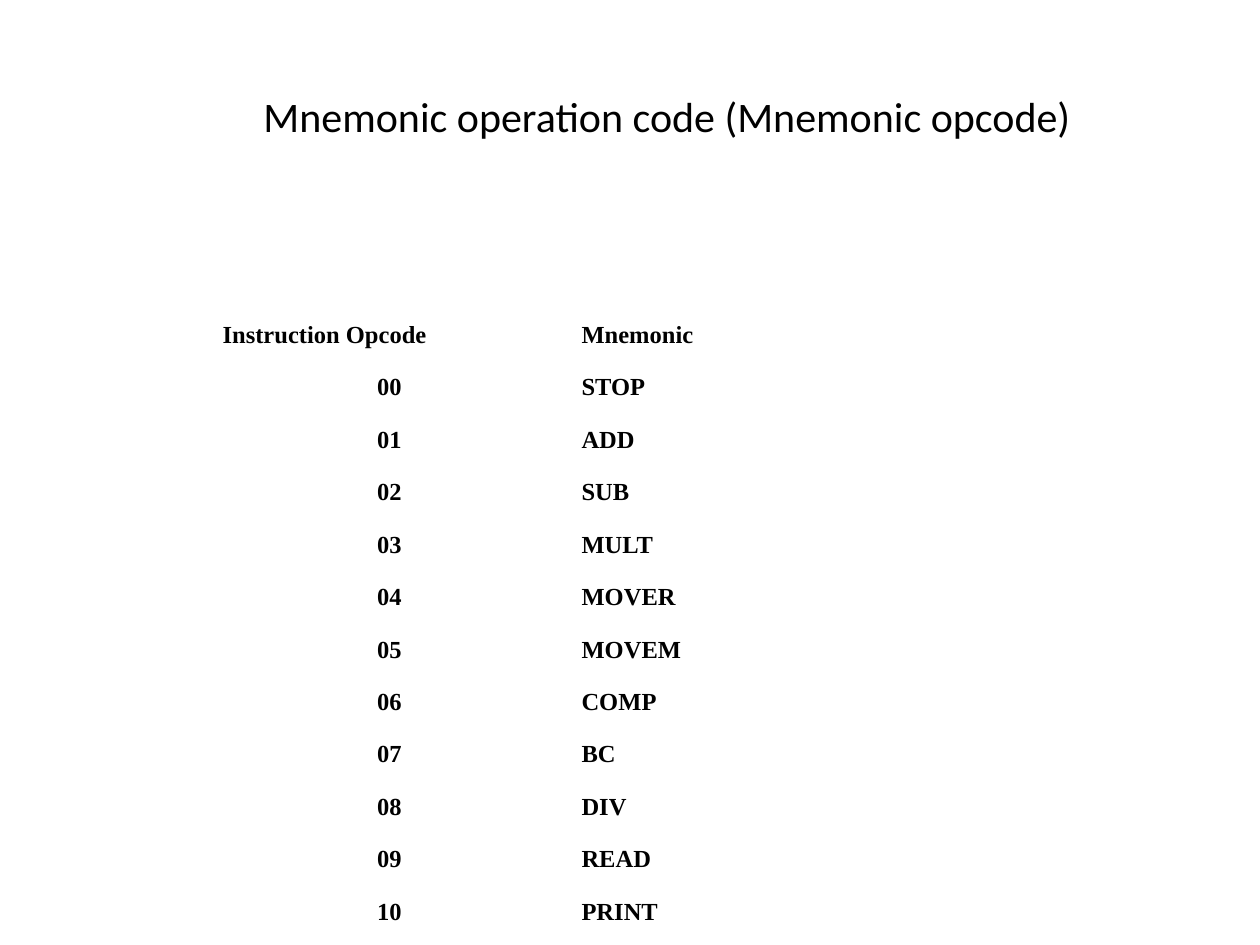
import pptx
import pptx.util
import pptx.dml.color
import pptx.enum.text

TITLE = "Mnemonic operation code (Mnemonic opcode)"
HEAD = ("Instruction Opcode", "Mnemonic")
CODES = ["STOP", "ADD", "SUB", "MULT", "MOVER", "MOVEM",
         "COMP", "BC", "DIV", "READ", "PRINT"]
ROWS = [HEAD] + [(f"{num:02d}", code) for num, code in enumerate(CODES)]
WIDTHS = (359, 218)
LEFT, TOP, HEIGHT = 210, 315, 630
INDENT = 47
BLACK = "000000"
ALIGN = pptx.enum.text.PP_ALIGN


def px(num):
    return pptx.util.Emu(round(num * 914400 / 126))


def color(text):
    return pptx.dml.color.RGBColor.from_string(text)


def write(para, text, font, size, bold, align):
    para.alignment = align
    run = para.add_run()
    run.text = text
    run.font.name = font
    run.font.size = pptx.util.Pt(size)
    run.font.bold = bold
    run.font.color.rgb = color(BLACK)


def hang(para):
    """Give the paragraph a hanging indent."""
    props = para._p.get_or_add_pPr()
    props.set("marL", str(px(INDENT)))
    props.set("indent", str(-px(INDENT)))


def add_title(slide):
    title = slide.shapes.title
    title.left, title.top, title.width, title.height = map(px, (147, 42, 1040, 198))
    frame = title.text_frame
    frame.word_wrap = True
    frame.vertical_anchor = pptx.enum.text.MSO_ANCHOR.MIDDLE
    frame.margin_bottom = px(56)
    write(frame.paragraphs[0], TITLE, "Calibri", 24, False, ALIGN.CENTER)


def add_codes(slide):
    table = slide.shapes.add_table(
        len(ROWS), len(WIDTHS), px(LEFT), px(TOP), px(sum(WIDTHS)), px(HEIGHT)).table
    table.first_row = table.horz_banding = False
    for col, width in zip(table.columns, WIDTHS):
        col.width = px(width)
    for r, row in enumerate(ROWS):
        table.rows[r].height = px(HEIGHT / len(ROWS))
        for c, text in enumerate(row):
            cell = table.cell(r, c)
            cell.fill.background()
            para = cell.text_frame.paragraphs[0]
            align = ALIGN.CENTER if r and c == 0 else ALIGN.LEFT
            write(para, text, "Times New Roman", 14, True, align)
            hang(para)


def main():
    deck = pptx.Presentation()
    deck.slide_width, deck.slide_height = px(1260), px(945)
    slide = deck.slides.add_slide(deck.slide_layouts[5])
    add_title(slide)
    add_codes(slide)
    deck.save("out.pptx")


if __name__ == "__main__":
    main()
